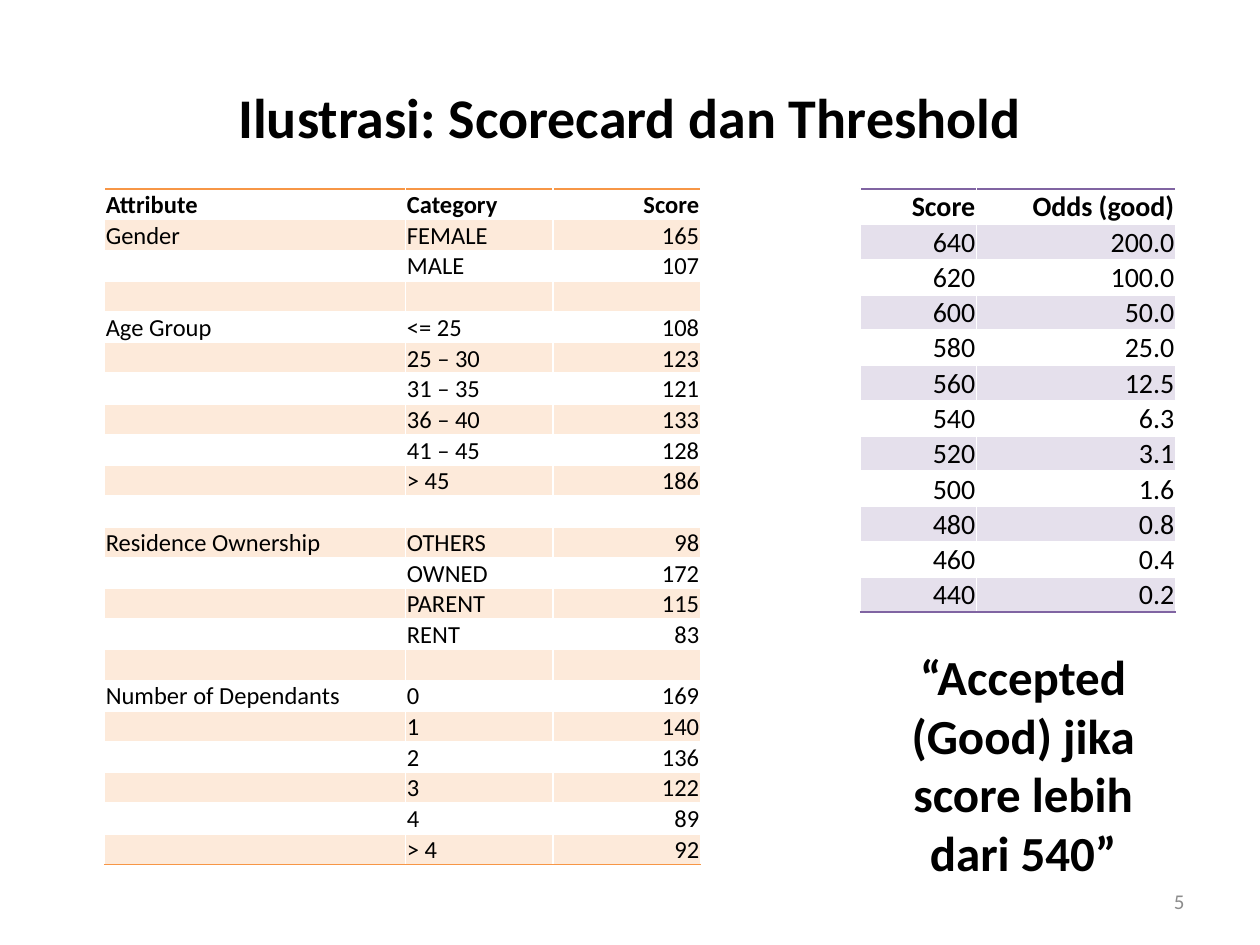
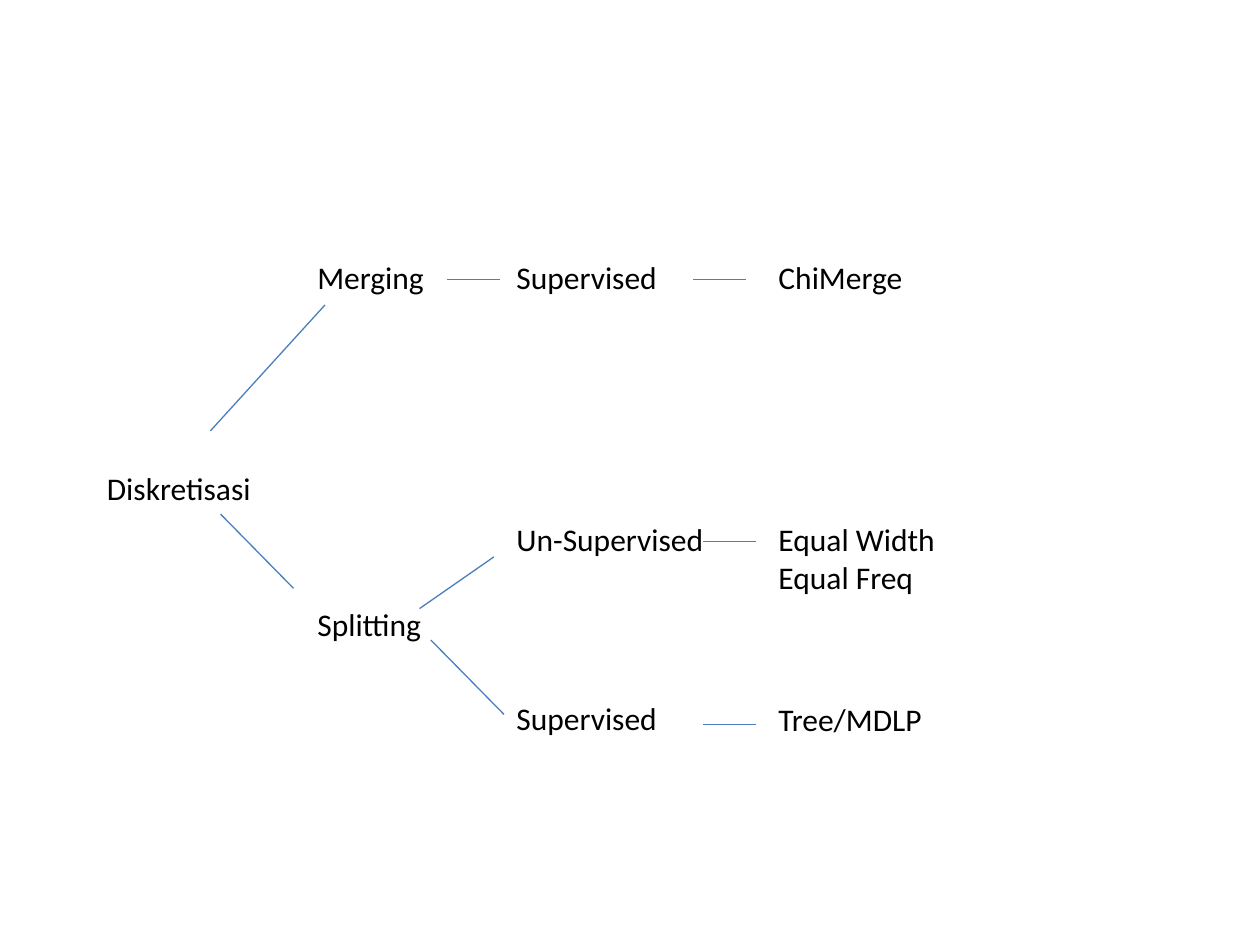
from dataclasses import dataclass

from lxml.etree import SubElement
from pptx import Presentation
from pptx.dml.color import RGBColor
from pptx.enum.shapes import MSO_CONNECTOR
from pptx.enum.text import MSO_ANCHOR as Anchor, PP_ALIGN as Align
from pptx.oxml.ns import qn
from pptx.slide import Slide
from pptx.table import _Cell as Cell
from pptx.util import Inches, Pt

FONT = "Calibri"
BLACK = RGBColor(0x00, 0x00, 0x00)
GRAY = RGBColor(0x8C, 0x8C, 0x8C)
ORANGE = RGBColor(0xF7, 0x96, 0x46)
PURPLE = RGBColor(0x80, 0x64, 0xA2)
BLUE = RGBColor(0x4B, 0x7E, 0xBC)
BAND_OPACITY = 20


@dataclass
class Label:
    text: str
    left: float
    top: float
    width: float = 1.75
    height: float = 0.4
    size: int = 18
    bold: bool = False
    color: RGBColor = BLACK
    align: Align = Align.LEFT
    anchor: Anchor = Anchor.TOP


@dataclass
class Branch:
    start: tuple[float, float]
    end: tuple[float, float]


@dataclass
class BandedTable:
    rows: list[tuple[str, ...]]
    left: float
    top: float
    column_widths: list[float]
    row_height: float
    size: int
    accent: RGBColor
    aligns: list[Align]
    anchor: Anchor


def add_label(slide: Slide, label: Label) -> None:
    shape = slide.shapes.add_textbox(
        Inches(label.left), Inches(label.top), Inches(label.width), Inches(label.height)
    )
    text_frame = shape.text_frame
    text_frame.word_wrap = True
    text_frame.vertical_anchor = label.anchor
    text_frame.text = label.text
    for paragraph in text_frame.paragraphs:
        paragraph.alignment = label.align
        for run in paragraph.runs:
            run.font.name = FONT
            run.font.size = Pt(label.size)
            run.font.bold = label.bold
            run.font.color.rgb = label.color


def add_branch(slide: Slide, branch: Branch) -> None:
    connector = slide.shapes.add_connector(
        MSO_CONNECTOR.STRAIGHT, *(Inches(value) for value in branch.start + branch.end)
    )
    connector.line.color.rgb = BLUE
    connector.line.width = Pt(0.75)
    SubElement(connector._element.spPr, qn("a:effectLst"))


def add_border(cell: Cell, side: str, color: RGBColor) -> None:
    line = SubElement(cell._tc.get_or_add_tcPr(), qn(f"a:ln{side}"), w=str(Pt(1)))
    solid = SubElement(line, qn("a:solidFill"))
    SubElement(solid, qn("a:srgbClr"), val=str(color))


def fill_band(cell: Cell, color: RGBColor) -> None:
    cell.fill.solid()
    cell.fill.fore_color.rgb = color
    tint = cell._tc.tcPr.find(f"{qn('a:solidFill')}/{qn('a:srgbClr')}")
    SubElement(tint, qn("a:alpha"), val=str(BAND_OPACITY * 1000))


def write_cell(cell: Cell, text: str, size: int, bold: bool, align: Align) -> None:
    cell.margin_left = cell.margin_right = cell.margin_top = Inches(0.01)
    cell.margin_bottom = 0
    cell.text_frame.text = text
    paragraph = cell.text_frame.paragraphs[0]
    paragraph.alignment = align
    for run in paragraph.runs:
        run.font.name = FONT
        run.font.size = Pt(size)
        run.font.bold = bold
        run.font.color.rgb = BLACK
    if not text:
        SubElement(paragraph._p, qn("a:endParaRPr"), sz=str(size * 100))


def add_banded_table(slide: Slide, data: BandedTable) -> None:
    last = len(data.rows) - 1
    table = slide.shapes.add_table(
        len(data.rows), len(data.column_widths), Inches(data.left), Inches(data.top),
        Inches(sum(data.column_widths)), Inches(data.row_height * len(data.rows)),
    ).table
    table.horz_banding = False
    for column, width in zip(table.columns, data.column_widths):
        column.width = Inches(width)
    for index, values in enumerate(data.rows):
        table.rows[index].height = Inches(data.row_height)
        for position, (text, align) in enumerate(zip(values, data.aligns)):
            cell = table.cell(index, position)
            write_cell(cell, text, data.size, index == 0, align)
            cell.vertical_anchor = data.anchor
            if index == 0:
                add_border(cell, "T", data.accent)
            if index in (0, last):
                add_border(cell, "B", data.accent)
            if index % 2:
                fill_band(cell, data.accent)
            else:
                cell.fill.background()


SCORECARD = {
    "Gender": [("FEMALE", 165), ("MALE", 107)],
    "Age Group": [
        ("<= 25", 108), ("25 – 30", 123), ("31 – 35", 121),
        ("36 – 40", 133), ("41 – 45", 128), ("> 45", 186),
    ],
    "Residence Ownership": [("OTHERS", 98), ("OWNED", 172), ("PARENT", 115), ("RENT", 83)],
    "Number of Dependants": [
        ("0", 169), ("1", 140), ("2", 136), ("3", 122), ("4", 89), ("> 4", 92),
    ],
}
ODDS = ["200.0", "100.0", "50.0", "25.0", "12.5", "6.3", "3.1", "1.6", "0.8", "0.4", "0.2"]


def scorecard_rows() -> list[tuple[str, ...]]:
    rows = [("Attribute", "Category", "Score")]
    for attribute, categories in SCORECARD.items():
        if len(rows) > 1:
            rows.append(("", "", ""))
        for index, (category, score) in enumerate(categories):
            rows.append(("" if index else attribute, category, str(score)))
    return rows


def odds_rows() -> list[tuple[str, ...]]:
    scores = (str(640 - 20 * index) for index in range(len(ODDS)))
    return [("Score", "Odds (good)"), *zip(scores, ODDS)]


def build_scorecard(slide: Slide) -> None:
    add_label(slide, Label("Ilustrasi: Scorecard dan Threshold", 0.5, 0.3, 9, 1.25, 32, True,
                           align=Align.CENTER, anchor=Anchor.MIDDLE))
    add_label(slide, Label("5", 7.17, 6.95, 2.33, 0.4, 12, color=GRAY,
                           align=Align.RIGHT, anchor=Anchor.MIDDLE))
    add_banded_table(slide, BandedTable(
        scorecard_rows(), 0.83, 1.5, [2.39, 1.17, 1.17], 0.24, 14, ORANGE,
        [Align.LEFT, Align.LEFT, Align.RIGHT], Anchor.TOP))
    add_banded_table(slide, BandedTable(
        odds_rows(), 6.83, 1.5, [0.92, 1.58], 0.28, 16, PURPLE,
        [Align.RIGHT, Align.RIGHT], Anchor.BOTTOM))
    add_label(slide, Label("“Accepted (Good) jika score lebih dari 540”", 6.83, 5.08,
                           2.58, 1.99, 28, True, align=Align.CENTER))


STEP, KIND, METHOD = 2.42, 4, 6.08
TREE_LABELS = [
    Label("Diskretisasi", 0.75, 3.67),
    Label("Merging", STEP, 2),
    Label("Splitting", STEP, 4.75),
    Label("Supervised", KIND, 2),
    Label("Un-Supervised", KIND, 4.08),
    Label("Supervised", KIND, 5.5),
    Label("ChiMerge", METHOD, 2),
    Label("Equal Width\nEqual Freq", METHOD, 4.08, height=0.71),
    Label("Tree/MDLP", METHOD, 5.51, 2.25),
]
TREE_BRANCHES = [
    Branch((1.67, 3.42), (2.58, 2.42)),
    Branch((3.55, 2.22), (3.97, 2.22)),
    Branch((5.5, 2.22), (5.92, 2.22)),
    Branch((5.58, 4.3), (6, 4.3)),
    Branch((5.58, 5.75), (6, 5.75)),
    Branch((3.33, 4.83), (3.92, 4.42)),
    Branch((1.75, 4.08), (2.33, 4.67)),
    Branch((3.42, 5.08), (4, 5.67)),
]


def build_tree(slide: Slide) -> None:
    for label in TREE_LABELS:
        add_label(slide, label)
    for branch in TREE_BRANCHES:
        add_branch(slide, branch)


presentation = Presentation()
presentation.slide_width = Inches(10)
presentation.slide_height = Inches(7.5)
blank = presentation.slide_layouts[6]
for build in (build_scorecard, build_tree):
    build(presentation.slides.add_slide(blank))
presentation.save("out.pptx")
